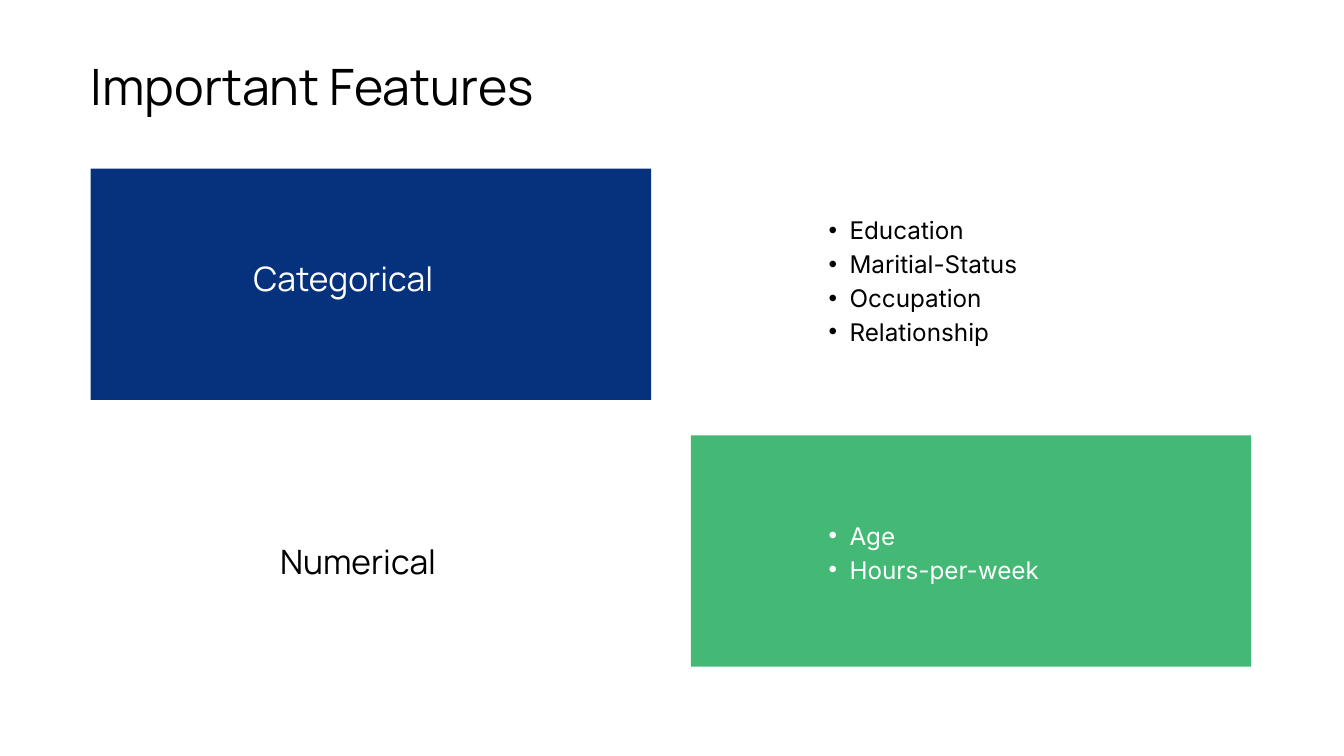
from dataclasses import dataclass

from lxml import etree
from pptx import Presentation
from pptx.dml.color import RGBColor
from pptx.enum.shapes import MSO_SHAPE
from pptx.enum.text import MSO_ANCHOR, MSO_AUTO_SIZE, PP_ALIGN
from pptx.oxml.ns import qn
from pptx.util import Cm, Pt

RECT = MSO_SHAPE.RECTANGLE
TOP = MSO_ANCHOR.TOP
FIXED = MSO_AUTO_SIZE.NONE
LEFT = PP_ALIGN.LEFT
JUSTIFY = PP_ALIGN.JUSTIFY

COLORS = {
    "white": "FFFFFF",
    "black": "000000",
    "blue": "06327D",
    "green": "44B875",
}


@dataclass
class Box:
    left: float
    top: float
    width: float
    height: float


@dataclass
class Style:
    font: str
    size: float
    line: float
    align: PP_ALIGN


@dataclass
class Group:
    label: str
    label_box: Box
    label_color: str
    items: list[str]
    list_box: Box
    list_color: str
    panel: Box
    fill: str


TITLE = Style("Manrope", 53.7, 75.2, LEFT)
LABEL = Style("Manrope", 36, 50.4, LEFT)
LIST = Style("Inter", 26, 36.4, JUSTIFY)

GROUPS = [
    Group(
        "Categorical", Box(9.58, 9.5, 8.89, 1.8), "white",
        ["Education", "Maritial-Status", "Occupation", "Relationship"],
        Box(30.56, 7.95, 14.43, 5.03), "black",
        Box(3.43, 6.38, 21.18, 8.74), "blue",
    ),
    Group(
        "Numerical", Box(10.59, 20.19, 6.86, 1.8), "black",
        ["Age", "Hours-per-week"],
        Box(30.56, 19.51, 14.43, 2.49), "white",
        Box(26.11, 16.46, 21.18, 8.74), "green",
    ),
]


def rgb(name: str) -> RGBColor:
    return RGBColor.from_string(COLORS[name])


def place(shape, box: Box) -> None:
    shape.left, shape.top = Cm(box.left), Cm(box.top)
    shape.width, shape.height = Cm(box.width), Cm(box.height)


def add_panel(slide, box: Box, fill: str) -> None:
    panel = slide.shapes.add_shape(
        RECT, Cm(box.left), Cm(box.top), Cm(box.width), Cm(box.height))
    panel.shadow.inherit = False
    panel.fill.solid()
    panel.fill.fore_color.rgb = rgb(fill)
    panel.line.fill.background()
    panel.element.getparent().insert(2, panel.element)


def add_bullet(para) -> None:
    para.level = 1
    props = para._p.get_or_add_pPr()
    props.set("marL", str(Cm(1.55)))
    props.set("indent", str(Cm(-0.79)))
    etree.SubElement(props, qn("a:buChar")).set("char", "•")


def write(shape, box: Box, text: str, style: Style, color: str,
          bullets: bool = False) -> None:
    place(shape, box)
    frame = shape.text_frame
    frame.text = text
    frame.word_wrap = True
    frame.auto_size = FIXED
    frame.vertical_anchor = TOP
    frame.margin_left = frame.margin_right = 0
    frame.margin_top = frame.margin_bottom = 0
    for para in frame.paragraphs:
        if bullets:
            add_bullet(para)
        para.alignment = style.align
        para.line_spacing = Pt(style.line)
        para.space_before = Pt(0)
        for run in para.runs:
            run.font.name = style.font
            run.font.size = Pt(style.size)
            run.font.color.rgb = rgb(color)


def main() -> None:
    deck = Presentation()
    deck.slide_width, deck.slide_height = Cm(50.8), Cm(28.58)
    slide = deck.slides.add_slide(deck.slide_layouts.get_by_name("Two Content"))
    slide.background.fill.solid()
    slide.background.fill.fore_color.rgb = rgb("white")

    write(slide.shapes.title, Box(3.43, 1.7, 26.34, 2.72),
          "Important Features", TITLE, "black")
    for index, group in enumerate(GROUPS, 1):
        add_panel(slide, group.panel, group.fill)
        write(slide.placeholders[index], group.list_box,
              "\n".join(group.items), LIST, group.list_color, bullets=True)
        label = slide.shapes.add_textbox(0, 0, 0, 0)
        write(label, group.label_box, group.label, LABEL, group.label_color)

    deck.save("out.pptx")


if __name__ == "__main__":
    main()
